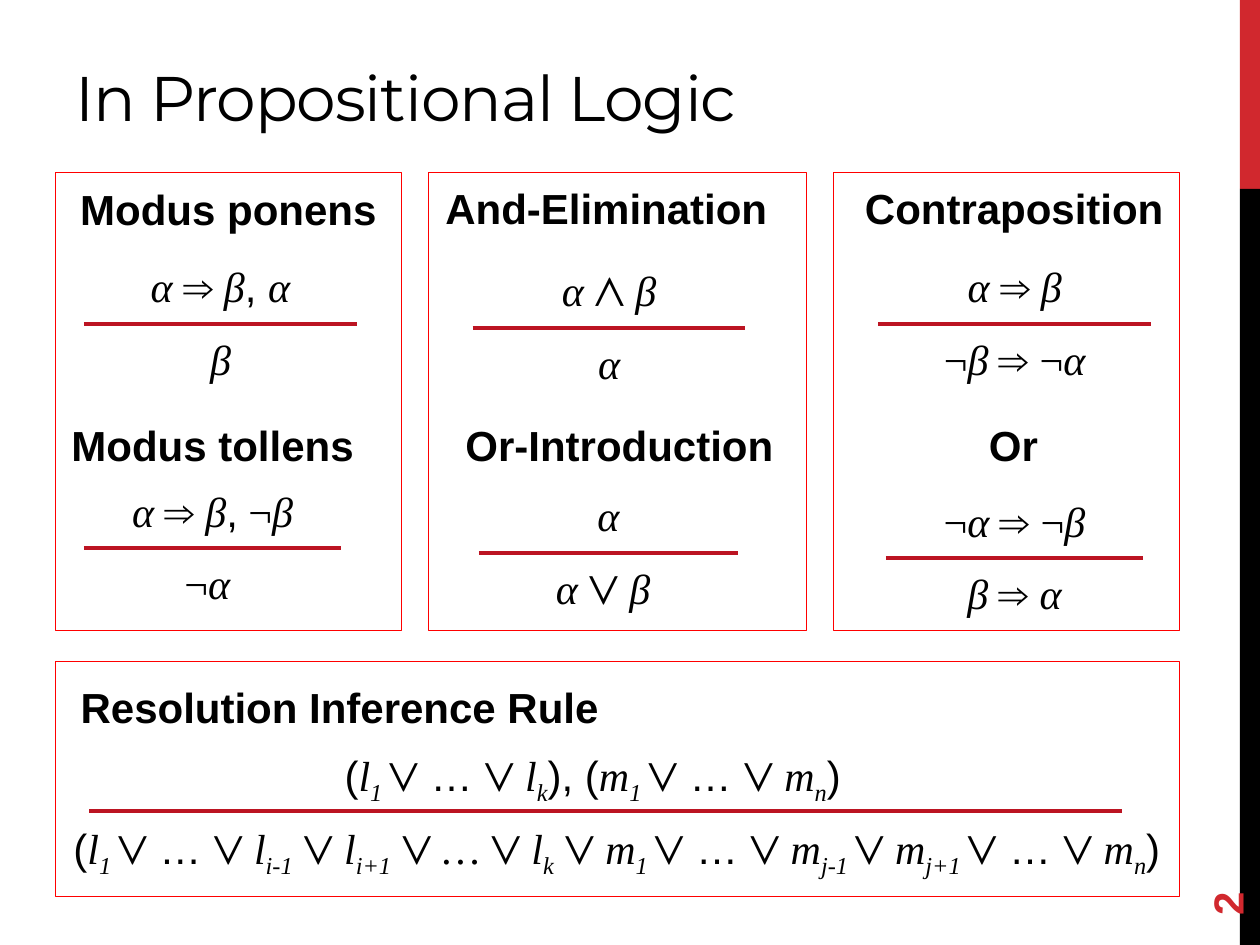
from lxml import etree
from pptx import Presentation
from pptx.dml.color import RGBColor
from pptx.enum.shapes import MSO_CONNECTOR, MSO_SHAPE
from pptx.enum.text import MSO_ANCHOR, PP_ALIGN
from pptx.oxml.ns import qn
from pptx.util import Pt

RECT = MSO_SHAPE.RECTANGLE
STRAIGHT = MSO_CONNECTOR.STRAIGHT
LEFT, CENTER = PP_ALIGN.LEFT, PP_ALIGN.CENTER
TOP, BOTTOM = MSO_ANCHOR.TOP, MSO_ANCHOR.BOTTOM

BLACK, RED, ACCENT, RULE = "000000", "FF0000", "D1282E", "BC1422"
SANS, SERIF = "Arial", "Times New Roman"
HEADING = {"name": SANS, "size": Pt(24), "bold": True}
LINE_GAP = 41.5  # from the top of a premise to the line under it
TEXT_H = 36

# left, top, width, height
FRAMES = [
    (31.5, 98.8, 198, 261.2),
    (244.8, 98.8, 216, 261.2),
    (476, 98.8, 198, 261.2),
    (31.5, 378, 642.6, 134.6),
]

# text, left, top, width, alignment
HEADINGS = [
    ("Modus ponens", 31.5, 99.2, 198, CENTER),
    ("Modus tollens", 31.5, 234, 180, CENTER),
    ("And-Elimination", 246, 98.6, 201, CENTER),
    ("Or-Introduction", 257, 234, 194, CENTER),
    ("Contraposition", 486, 99, 187.2, CENTER),
    ("Or", 558, 234, 42.5, LEFT),
    ("Resolution Inference Rule", 39, 384, 384.5, LEFT),
]

# left, line height, width, premise, conclusion; "|" parts the runs
RULES = [
    (48, 185, 156, "α |⇒ |β|, |α", "β"),
    (48, 313.2, 147, "α |⇒ |β|,| ¬|β", "¬|α "),
    (270, 187.2, 156, "α |⋀ |β", "α"),
    (273.6, 315.8, 148, "α", "α |⋁ |β "),
    (501.8, 185, 156, "α |⇒ |β", "¬|β |⇒ ¬|α"),
    (506.2, 319, 147, "¬|α |⇒ ¬|β", "β |⇒ |α"),
]

RESOLUTION_PREMISE = "(|l|_1 |⋁| … |⋁ |l|_k|), (|m|_1 |⋁| … |⋁ |m|_n|)"
RESOLUTION_RESULT = (
    "(|l|_1 |⋁| … |⋁ |l|_i-1| ⋁ |l|_i+1| ⋁ |*…| ⋁ |l|_k"
    "| ⋁ |m|_1 |⋁| … |⋁ |m|_j-1 |⋁ |m|_j+1 |⋁| … |⋁ |m|_n|)"
)


def rgb(value):
    return RGBColor.from_string(value)


def add_run(p, text, color=BLACK, **font):
    r = p.add_run()
    r.text = text
    for name, value in font.items():
        setattr(r.font, name, value)
    r.font.color.rgb = rgb(color)
    return r


def add_box(s, left, top, width, height, align=CENTER, anchor=TOP, wrap=True):
    """Add an empty text box and return it with its first paragraph."""
    sp = s.shapes.add_textbox(Pt(left), Pt(top), Pt(width), Pt(height))
    tf = sp.text_frame
    settings = {"word_wrap": wrap, "vertical_anchor": anchor,
                "margin_top": Pt(5.5), "margin_bottom": Pt(2)}
    for name, value in settings.items():
        setattr(tf, name, value)
    p = tf.paragraphs[0]
    p.alignment = align
    return sp, p


def add_formula(s, markup, left, top, width):
    """Runs are parted by "|"; "_" marks a subscript and "*" an italic run."""
    _, p = add_box(s, left, top, width, TEXT_H)
    for part in markup.split("|"):
        marked = part[0] in "_*"
        text = part[1:] if marked else part
        sans = not marked and any(c in "(),…" for c in text)
        italic = marked or any(c.isalpha() for c in text)
        r = add_run(p, text, name=SANS if sans else SERIF,
                    size=Pt(24), italic=italic)
        if part[0] == "_":
            r.font._element.set("baseline", "-25000")


def add_rule_line(s, left, y, width):
    line = s.shapes.add_connector(STRAIGHT, Pt(left), Pt(y), Pt(left + width), Pt(y))
    line.line.color.rgb = rgb(RULE)
    line.line.width = Pt(2.25)
    etree.SubElement(line._element.spPr, qn("a:effectLst"))


def add_rect(s, left, top, width, height, fill=None, outline=None):
    sp = s.shapes.add_shape(RECT, Pt(left), Pt(top), Pt(width), Pt(height))
    sp.shadow.inherit = False
    if fill:
        sp.fill.solid()
        sp.fill.fore_color.rgb = rgb(fill)
    else:
        sp.fill.background()
    if outline:
        sp.line.color.rgb = rgb(outline)
        sp.line.width = Pt(0.5)
    else:
        sp.line.fill.background()


def add_title(s, text):
    _, p = add_box(s, 36, 12.2, 624, 66.2, LEFT, BOTTOM)
    r = add_run(p, text, name="Montserrat", size=Pt(36))
    r.font._element.set("spc", "-60")


def add_page_number(s, text):
    sp, p = add_box(s, 643.7, 463.7, 103.7, 28.8, LEFT)
    sp.rotation = 270
    add_run(p, text, ACCENT, **HEADING)


def main():
    prs = Presentation()
    prs.slide_width, prs.slide_height = Pt(720), Pt(540)
    s = prs.slides.add_slide(prs.slide_layouts[6])

    add_rect(s, 708.5, 0, 11.5, 108, fill=ACCENT)
    add_rect(s, 708.5, 108, 11.5, 432, fill=BLACK)
    add_title(s, "In Propositional Logic")
    add_page_number(s, "2")

    for frame in FRAMES:
        add_rect(s, *frame, outline=RED)
    for text, left, top, width, align in HEADINGS:
        _, p = add_box(s, left, top, width, 45, align, wrap=text != "Or")
        add_run(p, text, **HEADING)

    for left, y, width, premise, conclusion in RULES:
        add_formula(s, premise, left, y - LINE_GAP, width)
        add_rule_line(s, left, y, width)
        add_formula(s, conclusion, left, y, width)

    add_formula(s, RESOLUTION_PREMISE, 152.6, 422.6, 372.2)
    add_rule_line(s, 51, 463.7, 590.4)
    add_formula(s, RESOLUTION_RESULT, 24.5, 464.4, 656)

    prs.save("out.pptx")


if __name__ == "__main__":
    main()
